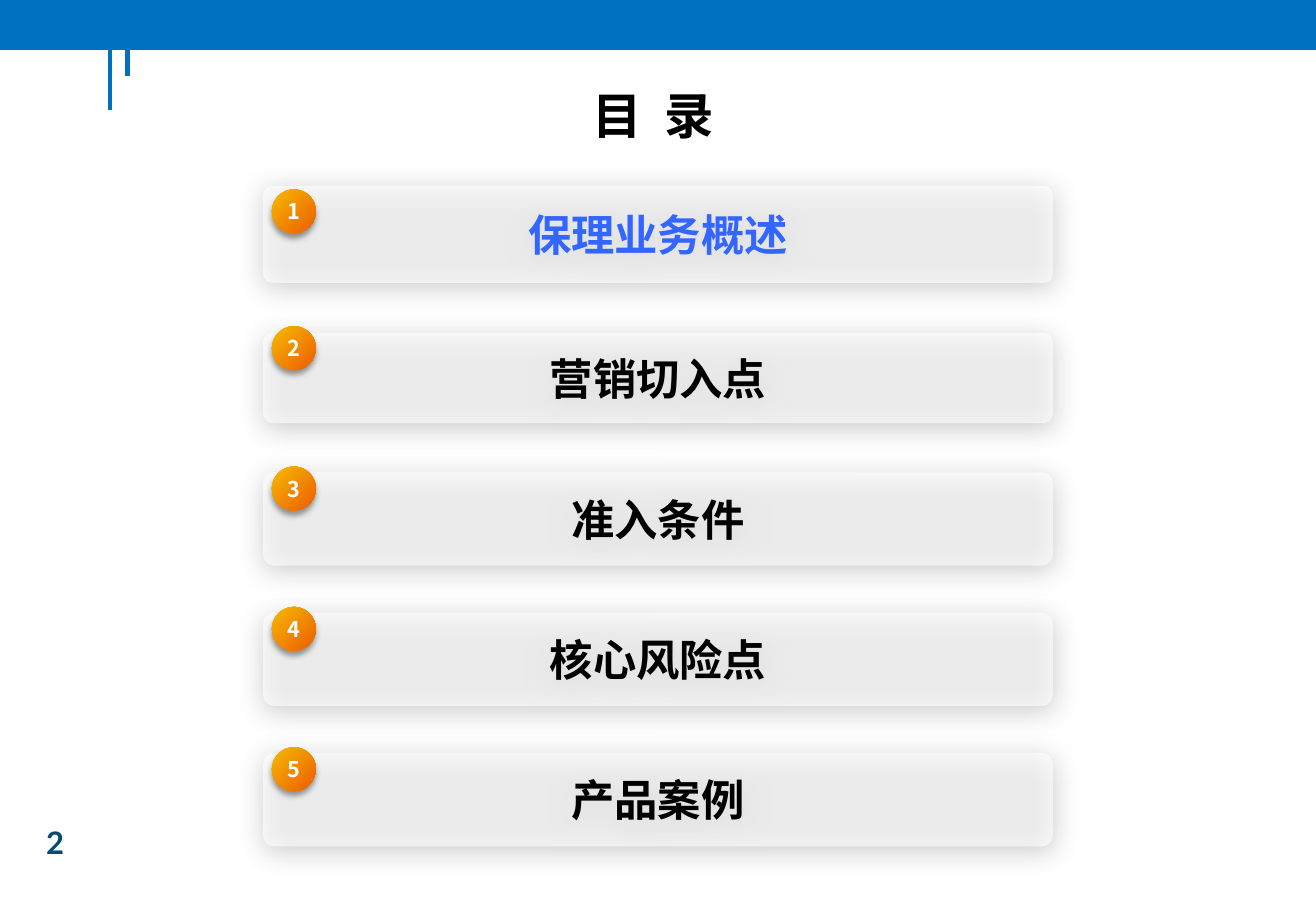
from dataclasses import dataclass

from lxml.etree import SubElement
from pptx import Presentation
from pptx.dml.color import RGBColor
from pptx.enum.shapes import MSO_CONNECTOR as Connector, MSO_SHAPE as Preset
from pptx.enum.text import MSO_ANCHOR as Anchor, MSO_AUTO_SIZE as AutoSize, PP_ALIGN as Align
from pptx.oxml.ns import qn
from pptx.shapes.autoshape import Shape
from pptx.slide import Slide
from pptx.text.text import TextFrame
from pptx.util import Cm, Pt


@dataclass(frozen=True)
class Theme:
    """Fonts, colours and type sizes of the slide."""
    heading_font: str = "Noto Sans CJK SC"
    number_font: str = "Lato"
    blue: str = "0070C0"
    active: str = "3366FF"
    ink: str = "000000"
    white: str = "FFFFFF"
    page_ink: str = "004D6D"
    badge_from: str = "F6BB00"
    badge_to: str = "ED6601"
    title_size: float = 32
    topic_size: float = 28
    page_size: float = 20
    badge_size: float = 14


@dataclass(frozen=True)
class Shadow:
    """Soft outer shadow: opacity in percent, lengths in points, angle in degrees."""
    opacity: int
    blur: float
    distance: float
    angle: int


@dataclass(frozen=True)
class Topic:
    """One agenda entry; lengths in centimetres."""
    text: str
    top: float
    height: float
    corner: float
    badge_top: float
    color: str


THEME = Theme()
CARD_SHADOW = Shadow(33, 17.8, 3, 87)
BADGE_SHADOW = Shadow(40, 4, 3, 90)
PAGE_WIDTH, PAGE_HEIGHT = 30, 20.5
CARD_LEFT, CARD_WIDTH = 6, 18
BADGE_LEFT, BADGE_SIZE = 6.2, 1
ROW_PITCH = 3.2

TOPICS = [
    Topic("保理业务概述", 4.24, 2.21, 0.09, 4.32, THEME.active),
    Topic("营销切入点", 7.59, 2.06, 0.1, 7.44, THEME.ink),
    *(Topic(text, 10.77 + row * ROW_PITCH, 2.13, 0.12, 10.64 + row * ROW_PITCH, THEME.ink)
      for row, text in enumerate(["准入条件", "核心风险点", "产品案例"])),
]


def rgb(color: str) -> RGBColor:
    """Turn a hex code into a colour."""
    return RGBColor.from_string(color)


def add_run(frame: TextFrame, text: str, size: float, color: str,
            font: str = THEME.heading_font, spacing: float = 0) -> None:
    """Append a bold run to the first paragraph of a frame."""
    run = frame.paragraphs[0].add_run()
    run.text = text
    run.font.size, run.font.bold, run.font.name = Pt(size), True, font
    run.font.color.rgb = rgb(color)
    properties = run._r.get_or_add_rPr()
    SubElement(properties, qn("a:ea"), typeface=font)
    if spacing:
        properties.set("spc", str(round(spacing * 100)))


def center(frame: TextFrame) -> None:
    """Centre a frame's text both ways and let it wrap."""
    frame.word_wrap = True
    frame.vertical_anchor = Anchor.MIDDLE
    frame.paragraphs[0].alignment = Align.CENTER


def add_panel(slide: Slide, preset: Preset, left: float, top: float,
              width: float, height: float) -> Shape:
    """Add a preset shape without outline or inherited shadow."""
    panel = slide.shapes.add_shape(preset, Cm(left), Cm(top), Cm(width), Cm(height))
    panel.line.fill.background()
    panel.shadow.inherit = False
    return panel


def fill_solid(shape: Shape, color: str, opacity: int = 100) -> None:
    """Fill a shape with one colour, optionally see-through."""
    shape.fill.solid()
    shape.fill.fore_color.rgb = rgb(color)
    if opacity < 100:
        tint = shape._element.spPr.find(qn("a:solidFill"))[0]
        SubElement(tint, qn("a:alpha"), val=str(opacity * 1000))


def cast_shadow(shape: Shape, shadow: Shadow) -> None:
    """Give a shape an outer shadow."""
    effects = shape._element.spPr.find(qn("a:effectLst"))
    outer = SubElement(effects, qn("a:outerShdw"), blurRad=str(Pt(shadow.blur)),
                       dist=str(Pt(shadow.distance)), dir=str(shadow.angle * 60000),
                       algn="ctr", rotWithShape="0")
    tint = SubElement(outer, qn("a:srgbClr"), val=THEME.ink)
    SubElement(tint, qn("a:alpha"), val=str(shadow.opacity * 1000))


def add_header(slide: Slide) -> None:
    """Draw the top band with its two hanging strokes."""
    for x, bottom in ((2.51, 2.51), (2.9, 1.73)):
        stroke = slide.shapes.add_connector(Connector.STRAIGHT, Cm(x), Cm(0.13), Cm(x), Cm(bottom))
        stroke.line.color.rgb = rgb(THEME.blue)
        stroke.line.width = Pt(3)
        SubElement(stroke._element.spPr, qn("a:effectLst"))
    fill_solid(add_panel(slide, Preset.RECTANGLE, 0, 0, PAGE_WIDTH, 1.14), THEME.blue)


def set_title(slide: Slide) -> None:
    """Place the heading, its two characters set apart by a widened space."""
    title = slide.shapes.title
    title.left, title.top, title.width, title.height = Cm(1.8), Cm(1.85), Cm(26.2), Cm(1.55)
    frame = title.text_frame
    frame.auto_size = AutoSize.NONE
    center(frame)
    for text, spacing in (("目", 0), (" ", 7.2), ("录", 0)):
        add_run(frame, text, THEME.title_size, THEME.ink, spacing=spacing)


def add_card(slide: Slide, topic: Topic) -> None:
    """Draw the translucent card that carries a topic."""
    card = add_panel(slide, Preset.ROUNDED_RECTANGLE, CARD_LEFT, topic.top, CARD_WIDTH, topic.height)
    card.adjustments[0] = topic.corner
    fill_solid(card, THEME.white, opacity=60)
    cast_shadow(card, CARD_SHADOW)
    center(card.text_frame)
    add_run(card.text_frame, topic.text, THEME.topic_size, topic.color)


def add_badge(slide: Slide, number: int, top: float) -> None:
    """Draw the numbered orange disc of a topic."""
    badge = add_panel(slide, Preset.OVAL, BADGE_LEFT, top, BADGE_SIZE, BADGE_SIZE)
    badge.fill.gradient()
    badge.fill.gradient_angle = 315
    stops = ((0, THEME.badge_from), (0.9, THEME.badge_to))
    for stop, (position, color) in zip(badge.fill.gradient_stops, stops):
        stop.position, stop.color.rgb = position, rgb(color)
    cast_shadow(badge, BADGE_SHADOW)
    frame = badge.text_frame
    frame.margin_left = frame.margin_right = frame.margin_top = frame.margin_bottom = 0
    center(frame)
    add_run(frame, str(number), THEME.badge_size, THEME.white, spacing=0.5)


def add_page_number(slide: Slide, number: int) -> None:
    """Write the page number at the lower left."""
    frame = slide.shapes.add_textbox(Cm(0.8), Cm(18.65), Cm(1.2), Cm(1.1)).text_frame
    frame.word_wrap = True
    add_run(frame, str(number), THEME.page_size, THEME.page_ink, THEME.number_font)


def main() -> None:
    """Build and save the agenda slide."""
    deck = Presentation()
    deck.slide_width, deck.slide_height = Cm(PAGE_WIDTH), Cm(PAGE_HEIGHT)
    agenda = deck.slides.add_slide(deck.slide_layouts[5])
    add_header(agenda)
    set_title(agenda)
    for number, topic in enumerate(TOPICS, start=1):
        add_card(agenda, topic)
        add_badge(agenda, number, topic.badge_top)
    add_page_number(agenda, 2)
    deck.save("out.pptx")


main()
